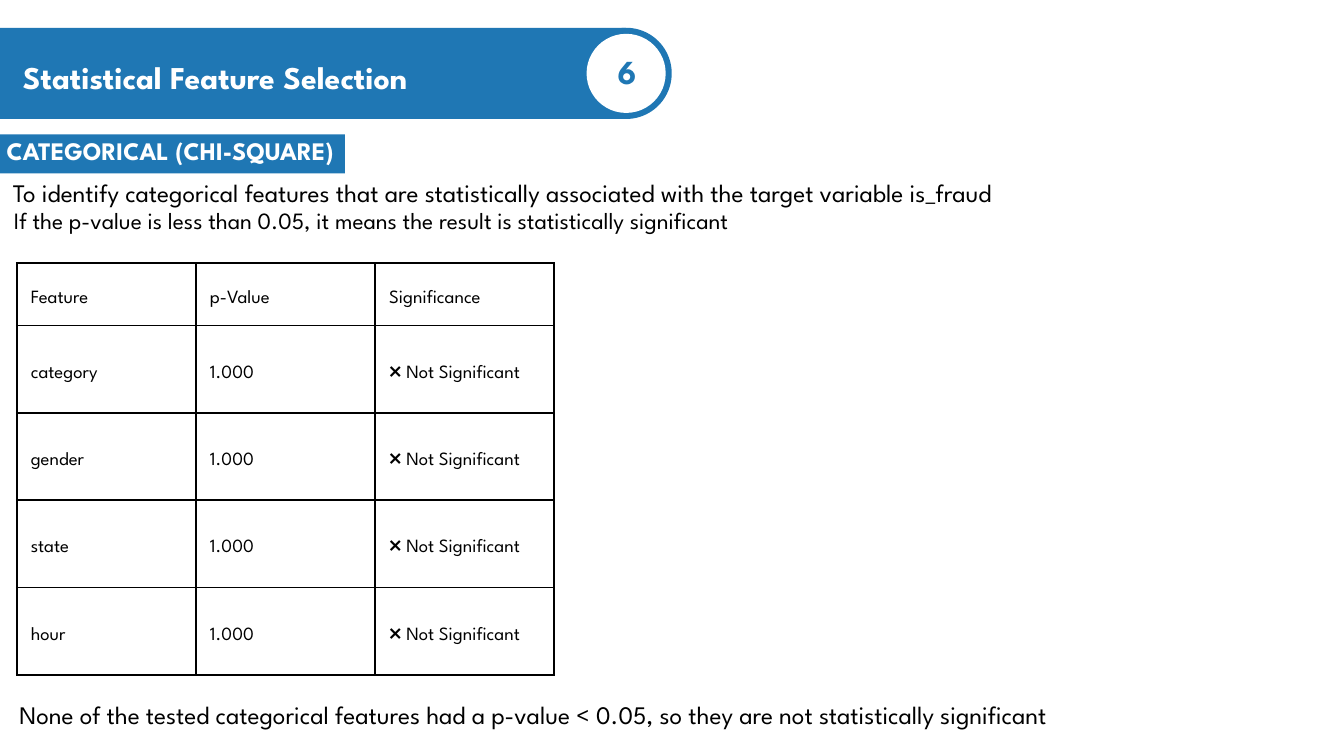
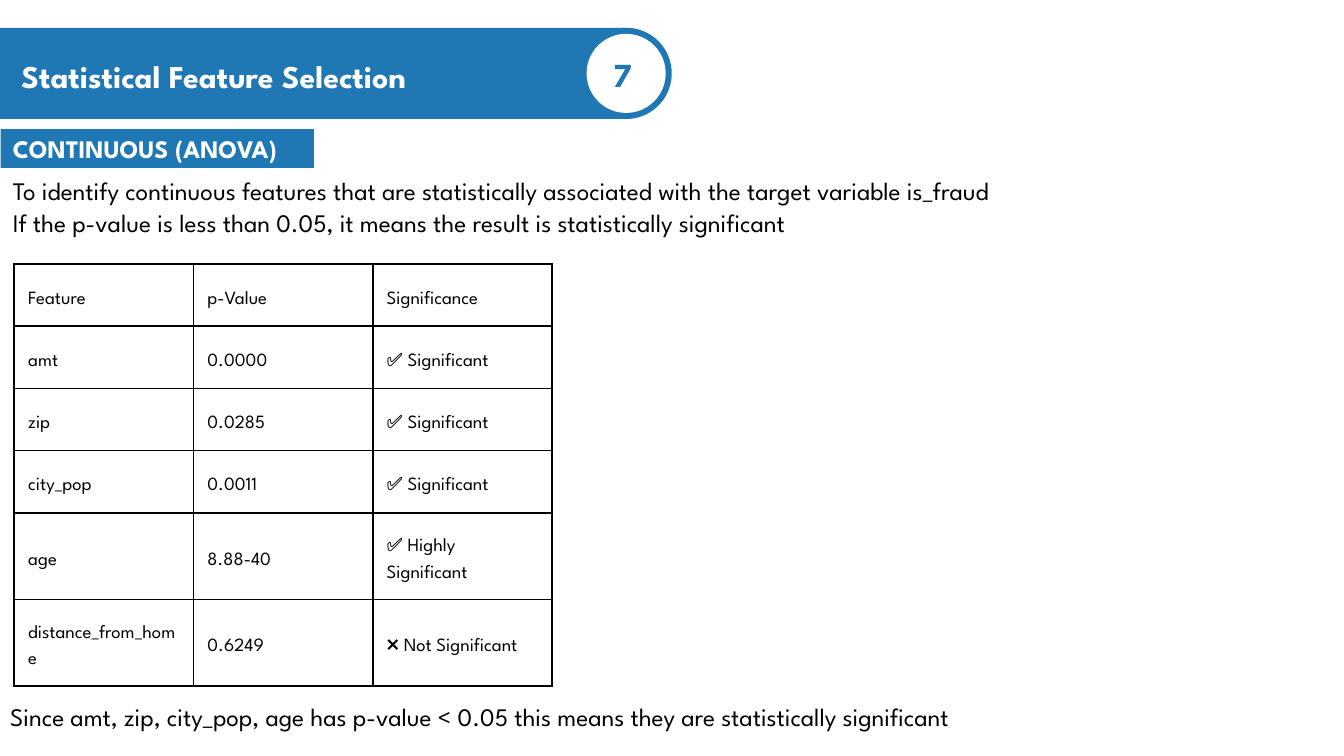
"""Build two slides on statistical feature selection."""
from dataclasses import dataclass

from lxml import etree
from pptx import Presentation
from pptx.dml.color import RGBColor
from pptx.enum.shapes import MSO_SHAPE
from pptx.enum.text import MSO_ANCHOR, PP_ALIGN
from pptx.oxml.ns import qn
from pptx.util import Pt

RECT, OVAL = MSO_SHAPE.RECTANGLE, MSO_SHAPE.OVAL
LEFT, CENTER = PP_ALIGN.LEFT, PP_ALIGN.CENTER
MIDDLE = MSO_ANCHOR.MIDDLE


@dataclass(frozen=True)
class Theme:
    blue: str = "1F77B4"
    white: str = "FFFFFF"
    black: str = "000000"
    font: str = "League Spartan"
    number: float = 36
    title: float = 34
    body: float = 27
    small_body: float = 25
    cell: float = 20
    text_leading: float = 1.2
    cell_leading: float = 1.4
    border: float = 2.25


@dataclass(frozen=True)
class Box:
    x: float
    y: float
    w: float
    h: float


@dataclass(frozen=True)
class Label:
    text: str
    box: Box
    size: float
    color: str
    bold: bool = False
    align: PP_ALIGN = LEFT


@dataclass(frozen=True)
class ResultTable:
    x: float
    y: float
    heights: list[float]
    rows: list[tuple[str, str, str]]


@dataclass(frozen=True)
class TestSlide:
    section_band: Box
    table: ResultTable
    labels: list[Label]


THEME = Theme()
SLIDE_W, SLIDE_H = 1440, 810
COLUMN_W = 192
CELL_INSET = 15
HEADER = ("Feature", "p-Value", "Significance")
TITLE = "Statistical Feature Selection"
THRESHOLD = "If the p-value is less than 0.05, it means the result is statistically significant"
SIGNIFICANT = "✅ Significant"
NOT_SIGNIFICANT = "❌ Not Significant"


def heading(text: str, box: Box, size: float) -> Label:
    """Return a bold white label for a blue band."""
    return Label(text, box, size, THEME.white, bold=True)


def badge_number(text: str, x: float, y: float) -> Label:
    """Return the slide number shown in the round badge."""
    return Label(text, Box(x, y, 41, 53), THEME.number, THEME.blue, True, CENTER)


def sentence(text: str, x: float, y: float, size: float = THEME.body) -> Label:
    """Return a line of body text reaching to the right edge of the slide."""
    return Label(text, Box(x, y, SLIDE_W - x, 40), size, THEME.black)


SLIDES = [
    TestSlide(
        section_band=Box(0, 144, 369.5, 41.75),
        table=ResultTable(18, 281.75, [67] + [93.6] * 4, [
            HEADER,
            *((feature, "1.000", NOT_SIGNIFICANT)
              for feature in ("category", "gender", "state", "hour")),
        ]),
        labels=[
            heading(TITLE, Box(24.5, 62, 502, 50), THEME.title),
            badge_number("6", 651.5, 54.75),
            heading("CATEGORICAL (CHI-SQUARE)", Box(7, 145.5, 358, 40), THEME.body),
            sentence("To identify categorical features that are statistically "
                     "associated with the target variable is_fraud", 13.7, 190),
            sentence(THRESHOLD, 15, 220.5, THEME.small_body),
            sentence("None of the tested categorical features had a p-value < 0.05, "
                     "so they are not statistically significant", 20.75, 749.5),
        ],
    ),
    TestSlide(
        section_band=Box(0.7, 138.25, 335.5, 41.75),
        table=ResultTable(15.25, 283, [66.6] * 4 + [93] * 2, [
            HEADER,
            ("amt", "0.0000", SIGNIFICANT),
            ("zip", "0.0285", SIGNIFICANT),
            ("city_pop", "0.0011", SIGNIFICANT),
            ("age", "8.88-40", "✅ Highly Significant"),
            ("distance_from_home", "0.6249", NOT_SIGNIFICANT),
        ]),
        labels=[
            heading(TITLE, Box(23, 61.2, 600, 50), THEME.title),
            badge_number("7", 646.5, 58.25),
            heading("CONTINUOUS (ANOVA)", Box(13.7, 143.25, 310, 40), THEME.body),
            sentence("To identify continuous features that are statistically "
                     "associated with the target variable is_fraud", 13.7, 188),
            sentence(THRESHOLD, 13.7, 222.5),
            sentence("Since amt, zip, city_pop, age has p-value < 0.05 this means "
                     "they are statistically significant", 11, 751.75),
        ],
    ),
]


def rgb(color: str) -> RGBColor:
    """Convert a hex string to a colour."""
    return RGBColor.from_string(color)


def add_block(s, kind: MSO_SHAPE, box: Box, color: str) -> None:
    """Draw a plain filled shape."""
    sp = s.shapes.add_shape(kind, Pt(box.x), Pt(box.y), Pt(box.w), Pt(box.h))
    sp.shadow.inherit = False
    sp.fill.solid()
    sp.fill.fore_color.rgb = rgb(color)
    sp.line.fill.background()


def style_paragraph(p, size: float, color: str, leading: float, bold: bool = False) -> None:
    """Set the font and the exact line spacing of a paragraph."""
    p.font.name = THEME.font
    p.font.size = Pt(size)
    p.font.bold = bold
    p.font.color.rgb = rgb(color)
    p.line_spacing = Pt(size * leading)


def add_label(s, label: Label) -> None:
    """Draw a text box without insets."""
    box = label.box
    tf = s.shapes.add_textbox(Pt(box.x), Pt(box.y), Pt(box.w), Pt(box.h)).text_frame
    tf.word_wrap = True
    tf.margin_left = tf.margin_right = tf.margin_top = tf.margin_bottom = 0
    p = tf.paragraphs[0]
    p.text = label.text
    p.alignment = label.align
    style_paragraph(p, label.size, label.color, THEME.text_leading, label.bold)


def add_borders(cell) -> None:
    """Give a cell a solid line on all four sides."""
    tc_pr = cell._tc.get_or_add_tcPr()
    for side in ("lnL", "lnR", "lnT", "lnB"):
        ln = etree.SubElement(tc_pr, qn(f"a:{side}"), w=str(Pt(THEME.border)))
        fill = etree.SubElement(ln, qn("a:solidFill"))
        etree.SubElement(fill, qn("a:srgbClr"), val=THEME.black)


def fill_cell(cell, text: str) -> None:
    """Write and format one table cell."""
    cell.margin_left = cell.margin_right = Pt(CELL_INSET)
    cell.margin_top = cell.margin_bottom = Pt(CELL_INSET)
    cell.vertical_anchor = MIDDLE
    add_borders(cell)
    cell.fill.background()
    p = cell.text_frame.paragraphs[0]
    p.text = text
    style_paragraph(p, THEME.cell, THEME.black, THEME.cell_leading)


def add_results(s, table: ResultTable) -> None:
    """Draw the table of test results."""
    columns = len(HEADER)
    frame = s.shapes.add_table(len(table.rows), columns, Pt(table.x), Pt(table.y),
                               Pt(COLUMN_W * columns), Pt(sum(table.heights)))
    grid = frame.table
    grid.first_row = grid.horz_banding = False
    for column in grid.columns:
        column.width = Pt(COLUMN_W)
    for i, (height, row) in enumerate(zip(table.heights, table.rows)):
        grid.rows[i].height = Pt(height)
        for j, text in enumerate(row):
            fill_cell(grid.cell(i, j), text)


def add_title_band(s) -> None:
    """Draw the title band with its round number badge."""
    add_block(s, RECT, Box(0, 29.75, 670.5, 97.75), THEME.blue)
    add_block(s, OVAL, Box(622, 29.75, 97.75, 97.75), THEME.blue)
    add_block(s, OVAL, Box(628.5, 36.25, 84.75, 84.75), THEME.white)


def build_slide(prs, content: TestSlide) -> None:
    """Add one slide about a statistical test."""
    s = prs.slides.add_slide(prs.slide_layouts[6])
    add_title_band(s)
    add_block(s, RECT, content.section_band, THEME.blue)
    add_results(s, content.table)
    for label in content.labels:
        add_label(s, label)


def main() -> None:
    """Build and save the presentation."""
    prs = Presentation()
    prs.slide_width, prs.slide_height = Pt(SLIDE_W), Pt(SLIDE_H)
    for content in SLIDES:
        build_slide(prs, content)
    prs.save("out.pptx")


if __name__ == "__main__":
    main()
